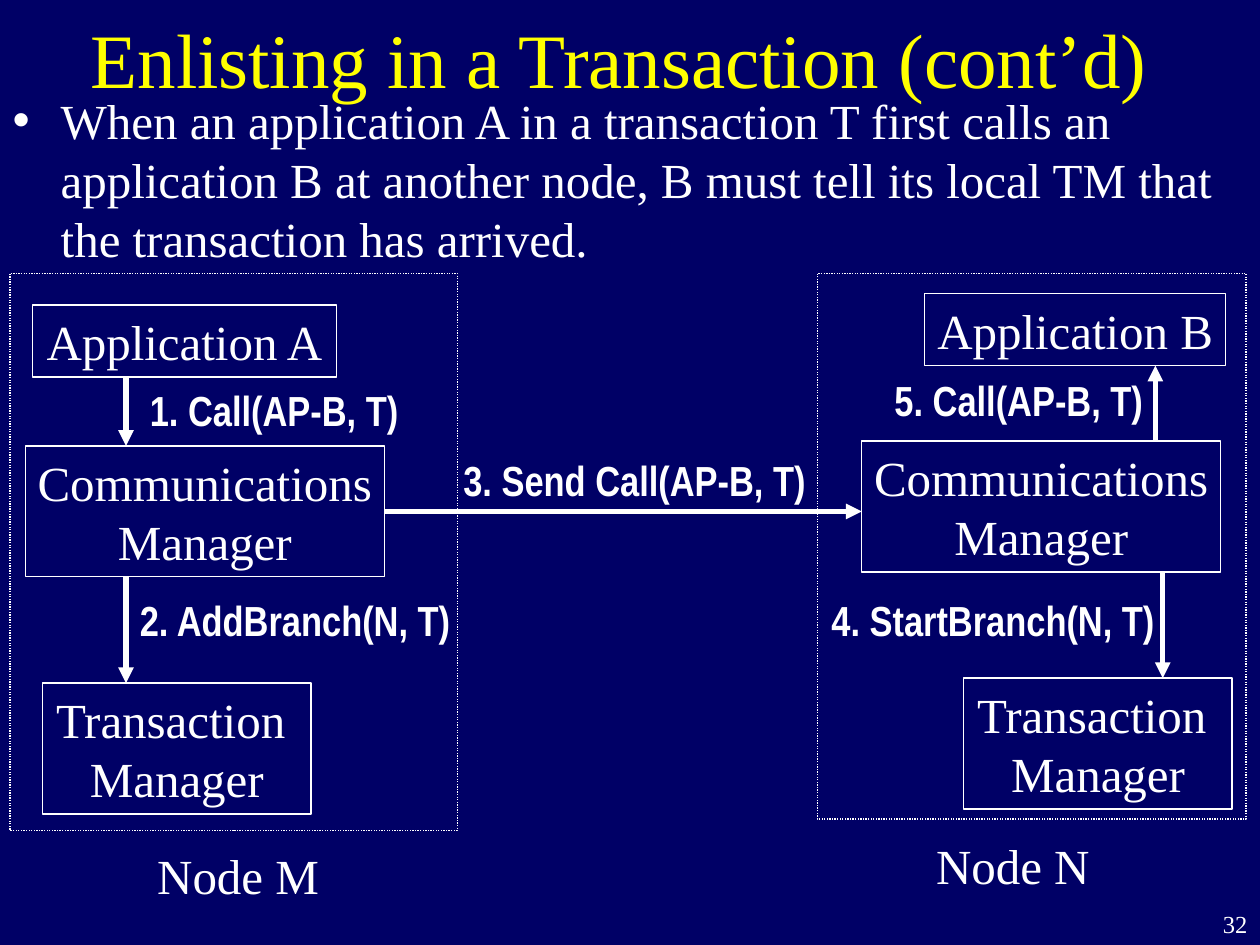
from dataclasses import dataclass

from lxml import etree
from pptx import Presentation
from pptx.dml.color import RGBColor
from pptx.enum.dml import MSO_LINE
from pptx.enum.shapes import MSO_CONNECTOR, MSO_SHAPE
from pptx.enum.text import MSO_ANCHOR, MSO_AUTO_SIZE, PP_ALIGN
from pptx.oxml.ns import qn
from pptx.util import Cm, Pt

LEFT, CENTER, RIGHT = PP_ALIGN.LEFT, PP_ALIGN.CENTER, PP_ALIGN.RIGHT
TOP, MIDDLE = MSO_ANCHOR.TOP, MSO_ANCHOR.MIDDLE
NO_AUTOFIT = MSO_AUTO_SIZE.NONE
RECTANGLE, STRAIGHT = MSO_SHAPE.RECTANGLE, MSO_CONNECTOR.STRAIGHT
DOTTED = MSO_LINE.ROUND_DOT
RIGHT_SIDE = 3


@dataclass(frozen=True)
class Theme:
    background: RGBColor = RGBColor(0x00, 0x00, 0x66)
    heading: RGBColor = RGBColor(0xFF, 0xFF, 0x00)
    ink: RGBColor = RGBColor(0xFF, 0xFF, 0xFF)
    serif: str = "Times New Roman"
    narrow: str = "Arial Narrow"
    title_size: int = 44
    body_size: int = 28
    call_size: int = 24
    number_size: int = 14
    outline: float = 0.75
    arrow: float = 3


THEME = Theme()

# All positions are centimetres: left, top, width, height.
TITLE = ("Enlisting in a Transaction (cont’d)", (1.27, 0, 22.43, 2.34))
BODY = (
    "When an application A in a transaction T first calls an application B "
    "at another node, B must tell its local TM that the transaction has arrived.",
    (0, 1.7, 25.4, 3.81),
)
NODE_FRAMES = [(0.2, 5.51, 9.02, 11.23), (16.48, 5.51, 8.64, 11)]
NODE_NAMES = [
    ("Node M", (2.92, 16.92, 3.78, 1.45)),
    ("Node N", (18.62, 16.71, 3.78, 1.45)),
]
COMPONENTS = {
    "app A": ("Application A", (0.66, 6.15, 6.12, 1.45)),
    "comm M": ("Communications\nManager", (0.51, 8.99, 7.24, 2.64)),
    "trans M": ("Transaction \nManager", (0.86, 13.77, 5.41, 2.64)),
    "app B": ("Application B", (18.64, 5.92, 6.07, 1.45)),
    "comm N": ("Communications\nManager", (17.37, 8.89, 7.24, 2.64)),
    "trans N": ("Transaction \nManager", (19.43, 13.67, 5.41, 2.64)),
}
CALLS = [
    ("1. Call(AP-B, T)", (2.77, 7.62, 5.51, 1.27)),
    ("2. AddBranch(N, T)", (2.57, 11.86, 6.78, 1.27)),
    ("3. Send Call(AP-B, T)", (9.09, 9.04, 7.42, 1.27)),
    ("4. StartBranch(N, T)", (16.51, 11.86, 7.01, 1.27)),
    ("5. Call(AP-B, T)", (17.78, 7.42, 5.51, 1.27)),
]
VERTICAL_CALLS = [  # source, target, x
    ("app A", "comm M", 2.54),
    ("comm M", "trans M", 2.54),
    ("comm N", "trans N", 23.44),
    ("comm N", "app B", 23.29),
]
SLIDE_NUMBER = ("32", (23.06, 18.21, 2.34, 0.84))


def place(shape, area):
    shape.left, shape.top, shape.width, shape.height = map(Cm, area)


def write(shape, text, size, font=THEME.serif, color=THEME.ink, bold=False,
          align=LEFT, anchor=TOP, wrap=True):
    frame = shape.text_frame
    frame.text = text
    frame.word_wrap = wrap
    frame.auto_size = NO_AUTOFIT
    frame.vertical_anchor = anchor
    for paragraph in frame.paragraphs:
        paragraph.alignment = align
        paragraph.space_before = Pt(0)
        for run in paragraph.runs:
            run.font.name = font
            run.font.size = Pt(size)
            run.font.bold = bold
            run.font.color.rgb = color


def add_label(slide, text, area, size, **style):
    write(slide.shapes.add_textbox(*map(Cm, area)), text, size, **style)


def add_outline(slide, area):
    box = slide.shapes.add_shape(RECTANGLE, *map(Cm, area))
    box.shadow.inherit = False
    box.fill.background()
    box.line.color.rgb = THEME.ink
    box.line.width = Pt(THEME.outline)
    return box


def add_arrow(slide, start, end):
    arrow = slide.shapes.add_connector(STRAIGHT, *start, *end)
    arrow.line.color.rgb = THEME.ink
    arrow.line.width = Pt(THEME.arrow)
    etree.SubElement(arrow.line._get_or_add_ln(), qn("a:tailEnd"), type="triangle")
    etree.SubElement(arrow._element.spPr, qn("a:effectLst"))
    return arrow


def add_bullet(paragraph, color):
    properties = paragraph._p.get_or_add_pPr()
    properties.set("marL", str(Cm(0.97)))
    properties.set("indent", str(-Cm(0.97)))
    bullet_color = etree.SubElement(properties, qn("a:buClr"))
    etree.SubElement(bullet_color, qn("a:srgbClr"), val=str(color))
    etree.SubElement(properties, qn("a:buChar"), char="•")


def add_heading_and_body(slide):
    text, area = TITLE
    place(slide.shapes.title, area)
    write(slide.shapes.title, text, THEME.title_size, color=THEME.heading,
          align=CENTER, anchor=MIDDLE)
    text, area = BODY
    body = slide.placeholders[1]
    place(body, area)
    write(body, text, THEME.body_size)
    add_bullet(body.text_frame.paragraphs[0], THEME.ink)


def add_components(slide):
    boxes = {}
    for name, (text, area) in COMPONENTS.items():
        box = boxes[name] = add_outline(slide, area)
        if name.startswith("comm"):
            box.fill.solid()
            box.fill.fore_color.rgb = THEME.background
        write(box, text, THEME.body_size, align=CENTER, anchor=MIDDLE, wrap=False)
    return boxes


def add_call_arrows(slide, boxes):
    for source_name, target_name, x in VERTICAL_CALLS:
        source, target = boxes[source_name], boxes[target_name]
        if source.top < target.top:
            start, end = source.top + source.height, target.top
        else:
            start, end = source.top, target.top + target.height
        add_arrow(slide, (Cm(x), start), (Cm(x), end))

    sender, receiver = boxes["comm M"], boxes["comm N"]
    middle = sender.top + sender.height // 2
    send = add_arrow(slide, (sender.left + sender.width, middle),
                     (receiver.left, middle))
    send.begin_connect(sender, RIGHT_SIDE)


def main():
    deck = Presentation()
    deck.slide_width, deck.slide_height = Cm(25.4), Cm(19.05)
    slide = deck.slides.add_slide(deck.slide_layouts[1])
    slide.background.fill.solid()
    slide.background.fill.fore_color.rgb = THEME.background

    add_heading_and_body(slide)
    for area in NODE_FRAMES:
        add_outline(slide, area).line.dash_style = DOTTED
    add_call_arrows(slide, add_components(slide))
    for text, area in CALLS:
        add_label(slide, text, area, THEME.call_size, font=THEME.narrow,
                  bold=True, wrap=False)
    for text, area in NODE_NAMES:
        add_label(slide, text, area, THEME.body_size)
    add_label(slide, *SLIDE_NUMBER, THEME.number_size, align=RIGHT)
    deck.save("out.pptx")


if __name__ == "__main__":
    main()
